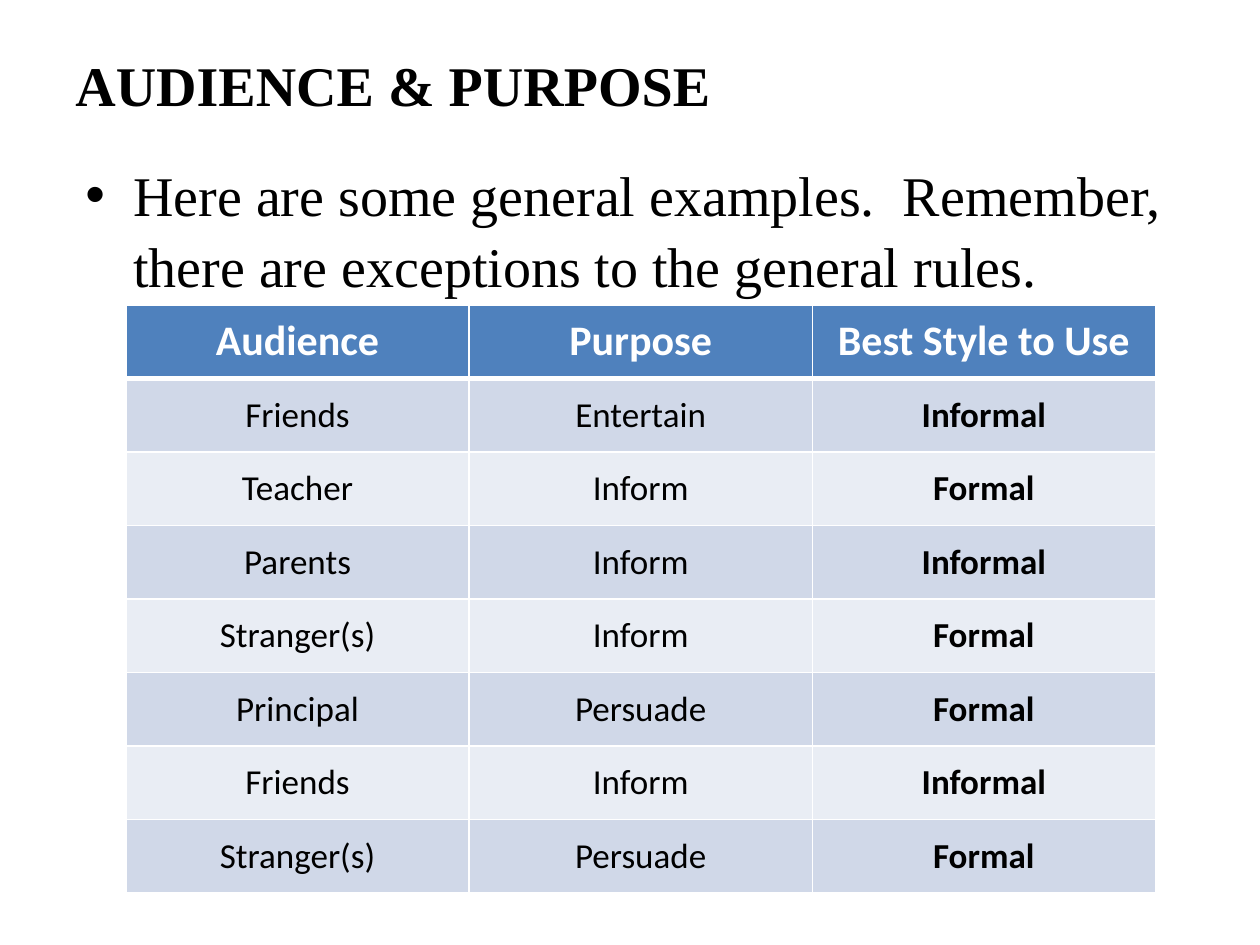
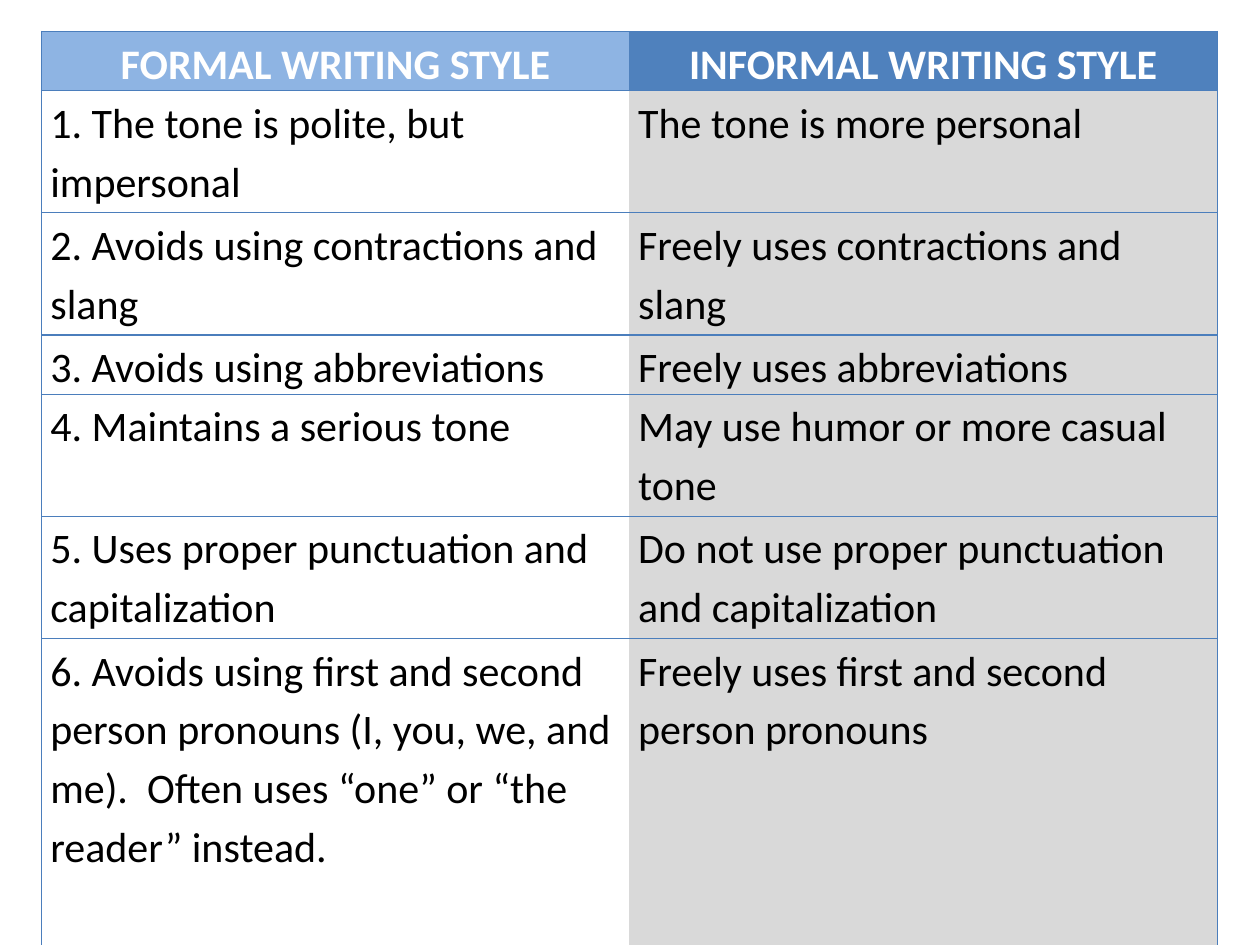
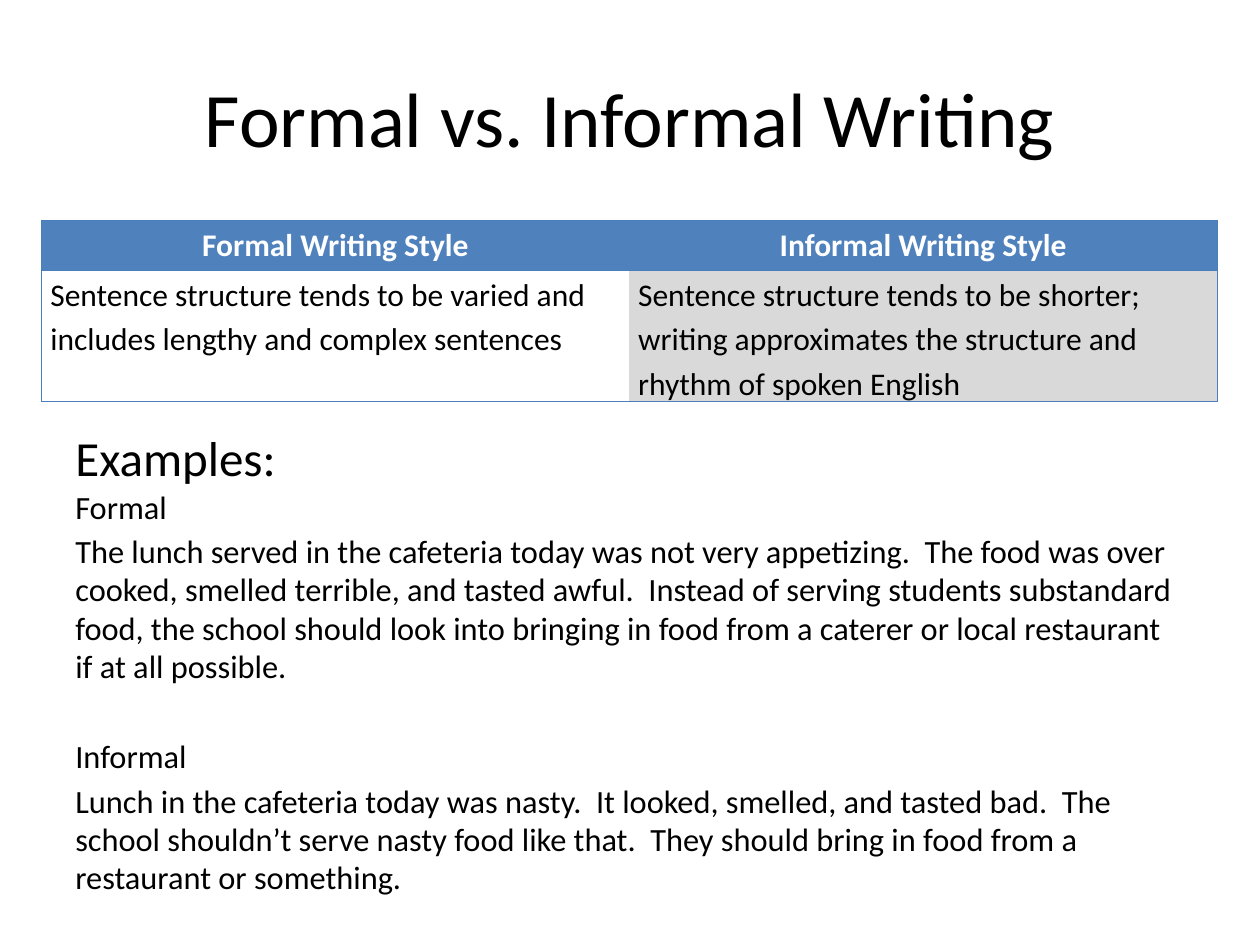
from lxml import etree
from pptx import Presentation
from pptx.dml.color import RGBColor
from pptx.enum.text import MSO_ANCHOR, PP_ALIGN
from pptx.oxml.ns import qn
from pptx.util import Inches, Pt

LEFT, CENTER = PP_ALIGN.LEFT, PP_ALIGN.CENTER
TOP, MIDDLE = MSO_ANCHOR.TOP, MSO_ANCHOR.MIDDLE
SANS, SERIF = "Calibri", "Times New Roman"
COLORS = {"text": "000000", "white": "FFFFFF", "header": "4F81BD",
          "header_light": "8EB4E3", "band_dark": "D0D8E8",
          "band_light": "E9EDF4", "informal": "D9D9D9", "rule": "4B7EBC"}

AUDIENCE_TITLE = "AUDIENCE & PURPOSE"
AUDIENCE_NOTE = ("Here are some general examples.  Remember, there are "
                 "exceptions to the general rules.")
AUDIENCE_ROWS = [
    ("Audience", "Purpose", "Best Style to Use"),
    ("Friends", "Entertain", "Informal"),
    ("Teacher", "Inform", "Formal"),
    ("Parents", "Inform", "Informal"),
    ("Stranger(s)", "Inform", "Formal"),
    ("Principal", "Persuade", "Formal"),
    ("Friends", "Inform", "Informal"),
    ("Stranger(s)", "Persuade", "Formal"),
]
STYLE_ROWS = [
    ("FORMAL WRITING STYLE", "INFORMAL WRITING STYLE"),
    ("1. The tone is polite, but impersonal", "The tone is more personal"),
    ("2. Avoids using contractions and slang",
     "Freely uses contractions and slang"),
    ("3. Avoids using abbreviations", "Freely uses abbreviations"),
    ("4. Maintains a serious tone", "May use humor or more casual tone"),
    ("5. Uses proper punctuation and capitalization",
     "Do not use proper punctuation and capitalization"),
    ("6. Avoids using first and second person pronouns (I, you, we, and me).  "
     "Often uses “one” or “the reader” instead.",
     "Freely uses first and second person pronouns"),
]
ONE_LINE, TWO_LINES, LAST_ROW = 0.47, 0.97, 2.46
STYLE_HEIGHTS = [ONE_LINE, TWO_LINES, TWO_LINES, ONE_LINE, TWO_LINES,
                 TWO_LINES, LAST_ROW]
SENTENCE_TITLE = "Formal vs. Informal Writing"
SENTENCE_ROWS = [
    ("Formal Writing Style", "Informal Writing Style"),
    ("Sentence structure tends to be varied and includes lengthy and complex "
     "sentences",
     "Sentence structure tends to be shorter; writing approximates the "
     "structure and rhythm of spoken English"),
]
EXAMPLES_HEADING = "Examples:"
EXAMPLES = [  # space before in points, text
    (0, "Formal"),
    (3.7, "The lunch served in the cafeteria today was not very appetizing.  "
     "The food was over cooked, smelled terrible, and tasted awful.  Instead "
     "of serving students substandard food, the school should look into "
     "bringing in food from a caterer or local restaurant if at all possible."),
    (30, "Informal"),
    (3.7, "Lunch in the cafeteria today was nasty.  It looked, smelled, and "
     "tasted bad.  The school shouldn’t serve nasty food like that.  They "
     "should bring in food from a restaurant or something."),
]


def rgb(name):
    return RGBColor.from_string(COLORS[name])


def write(p, text, size, font=SANS, color="text", bold=False, align=LEFT,
          spacing=None):
    p.text = text
    p.alignment = align
    if spacing:
        p.line_spacing = spacing
    for r in p.runs:
        r.font.name, r.font.size, r.font.bold = font, Pt(size), bold
        r.font.color.rgb = rgb(color)


def add_text(s, box, paragraphs, size, anchor=TOP, **style):
    """Add a text box of (space before, text) paragraphs."""
    tf = s.shapes.add_textbox(*map(Inches, box)).text_frame
    tf.word_wrap, tf.vertical_anchor = True, anchor
    for i, (before, text) in enumerate(paragraphs):
        p = tf.add_paragraph() if i else tf.paragraphs[0]
        write(p, text, size, **style)
        if before:
            p.space_before = Pt(before)
    return tf


def add_bullet(p, indent):
    pPr = p._p.get_or_add_pPr()
    pPr.set("marL", str(Inches(indent)))
    pPr.set("indent", str(-Inches(indent)))
    etree.SubElement(pPr, qn("a:buFont")).set("typeface", "Arial")
    etree.SubElement(pPr, qn("a:buChar")).set("char", "•")


def set_borders(cell, sides):
    """Set borders from {side: (colour, points)}; None draws no line."""
    tcPr = cell._tc.get_or_add_tcPr()
    for side in "LRTB":
        line = sides[side]
        ln = etree.SubElement(tcPr, qn(f"a:ln{side}"))
        if line is None:
            etree.SubElement(ln, qn("a:noFill"))
            continue
        color, width = line
        ln.set("w", str(Pt(width)))
        fill = etree.SubElement(ln, qn("a:solidFill"))
        etree.SubElement(fill, qn("a:srgbClr")).set("val", COLORS[color])


def add_table(s, left, top, width, heights, rows, format_cell):
    n_cols = len(rows[0])
    table = s.shapes.add_table(len(rows), n_cols, Inches(left), Inches(top),
                               Inches(width), Inches(sum(heights))).table
    table.first_row = table.horz_banding = False
    for col in table.columns:
        col.width = Inches(width / n_cols)
    for i, row in enumerate(rows):
        table.rows[i].height = Inches(heights[i])
        for j, text in enumerate(row):
            format_cell(table.cell(i, j), text, i, j)


def format_audience_cell(cell, text, i, j):
    thin, thick = ("white", 1), ("white", 3)
    set_borders(cell, {"L": thin, "R": thin, "T": thick if i == 1 else thin,
                       "B": thick if i == 0 else thin})
    band = "band_dark" if i % 2 else "band_light"
    cell.fill.solid()
    cell.fill.fore_color.rgb = rgb(band if i else "header")
    cell.vertical_anchor = MIDDLE
    write(cell.text_frame.paragraphs[0], text, 20 if i else 24,
          color="text" if i else "white", bold=i == 0 or j == 2, align=CENTER)


def add_comparison(s, top, heights, rows, size, formal_header):
    """Add a formal / informal table with a grey right column."""
    fills = [(formal_header, "header"), (None, "informal")]

    def format_cell(cell, text, i, j):
        rule = ("rule", 0.75)
        set_borders(cell, {"L": None if j else rule, "R": rule if j else None,
                           "T": rule, "B": rule})
        fill = fills[min(i, 1)][j]
        if fill:
            cell.fill.solid()
            cell.fill.fore_color.rgb = rgb(fill)
        else:
            cell.fill.background()
        cell.margin_left = cell.margin_right = Inches(0.07)
        cell.margin_top = cell.margin_bottom = 0
        write(cell.text_frame.paragraphs[0], text, size, spacing=1.15,
              color="text" if i else "white", bold=i == 0,
              align=LEFT if i else CENTER)

    add_table(s, 0.33, top, 9.33, heights, rows, format_cell)


def add_title(s, top, text, size, **style):
    add_text(s, (0.5, top, 9, 1.25), [(0, text)], size, anchor=MIDDLE, **style)


def build_audience(s):
    add_title(s, 0.04, AUDIENCE_TITLE, 32, font=SERIF, bold=True)
    tf = add_text(s, (0.58, 1.19, 9, 1.2), [(0, AUDIENCE_NOTE)], 32,
                  font=SERIF, spacing=1.06)
    add_bullet(tf.paragraphs[0], 0.38)
    n_rows = len(AUDIENCE_ROWS)
    add_table(s, 1, 2.42, 8.17, [4.67 / n_rows] * n_rows, AUDIENCE_ROWS,
              format_audience_cell)


def build_styles(s):
    add_comparison(s, 0.25, STYLE_HEIGHTS, STYLE_ROWS, 24, "header_light")


def build_sentences(s):
    add_title(s, 0.3, SENTENCE_TITLE, 44, align=CENTER)
    add_comparison(s, 1.75, [0.4, 1.02], SENTENCE_ROWS, 18, "header")
    add_text(s, (0.5, 3.83, 9, 3.33), EXAMPLES, 18.5, spacing=0.98)
    add_text(s, (0.5, 3.34, 4.08, 0.57), [(0, EXAMPLES_HEADING)], 28)


def main():
    prs = Presentation()
    prs.slide_width, prs.slide_height = Inches(10), Inches(7.5)
    for build in (build_audience, build_styles, build_sentences):
        build(prs.slides.add_slide(prs.slide_layouts[6]))
    prs.save("out.pptx")


if __name__ == "__main__":
    main()
